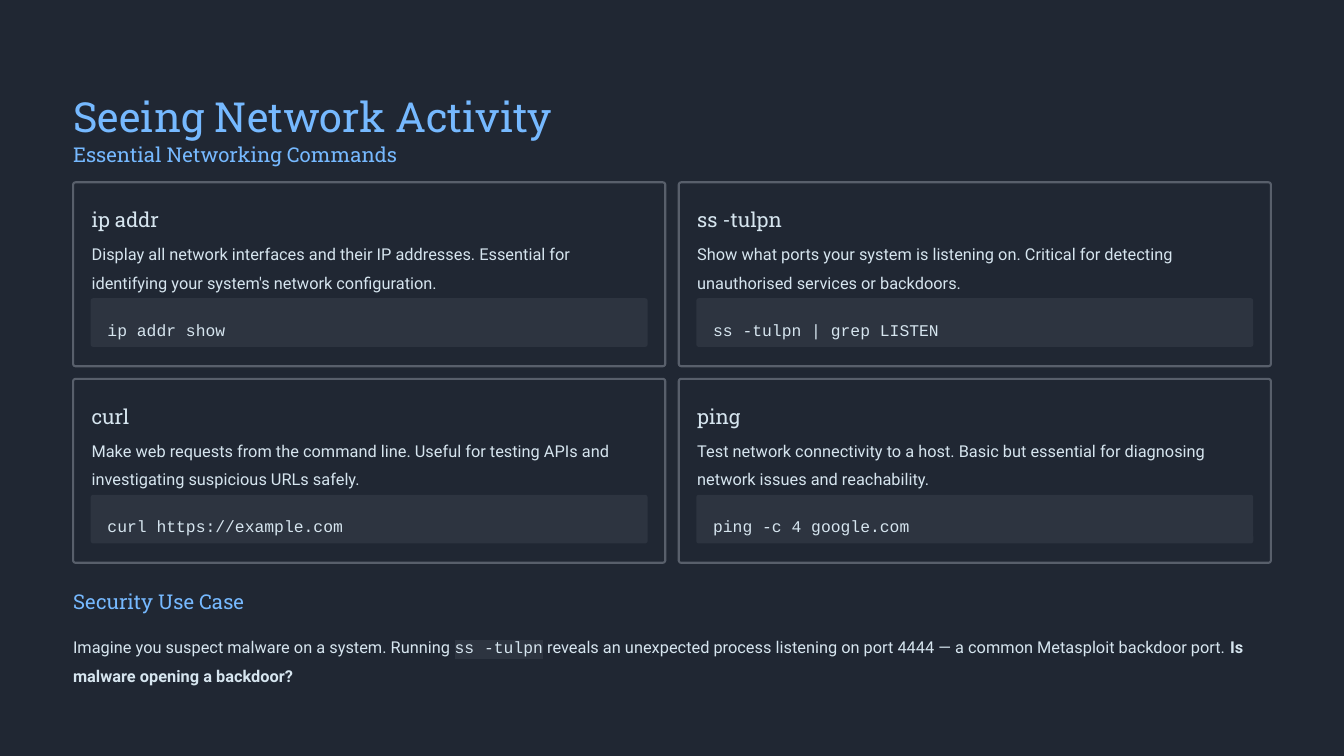
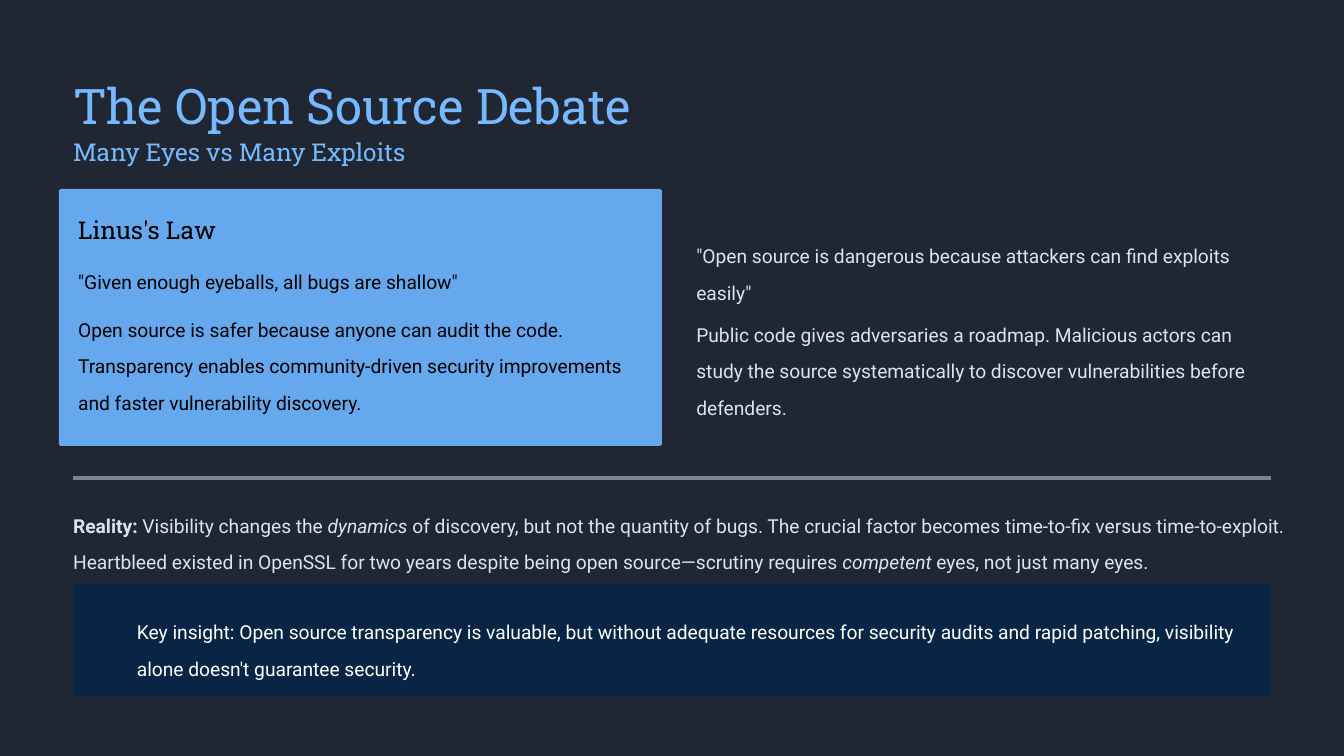
"""Build two dark slides on network commands and the open source debate."""
from dataclasses import dataclass

from lxml import etree
from pptx import Presentation
from pptx import util as u
from pptx.dml.color import RGBColor
from pptx.enum import shapes, text
from pptx.oxml.ns import qn

NIGHT = RGBColor(0x20, 0x27, 0x33)
PANEL = RGBColor(0x2D, 0x34, 0x40)
BORDER = RGBColor(0x58, 0x5F, 0x6B)
RULE = RGBColor(0x7B, 0x86, 0x91)
ACCENT = RGBColor(0x76, 0xB9, 0xFF)
PALE = RGBColor(0xD6, 0xE5, 0xEF)
SKY = RGBColor(0x66, 0xA8, 0xEE)
NAVY = RGBColor(0x08, 0x25, 0x45)
BLACK = RGBColor(0, 0, 0)
WHITE = RGBColor(0xFF, 0xFF, 0xFF)

COLUMNS, ROWS = 16, 9
MARGIN = 0.87
CONTENT = COLUMNS - 2 * MARGIN
RADIUS = 0.03


@dataclass(frozen=True)
class Style:
    font: str
    size: float
    spacing: float


TITLE = Style("Roboto Slab", 35.5, 1.25)
HEADING = Style("Roboto Slab", 17.5, 1.26)
BODY = Style("Roboto", 14, 1.46)
CODE = Style("Courier New", 14, 1.46)
BIG_TITLE = Style("Roboto Slab", 42, 1.26)
BIG_HEADING = Style("Roboto Slab", 21, 1.26)
BIG_BODY = Style("Roboto", 16.5, 1.58)


class Builder:
    def __init__(self):
        self.deck = Presentation()
        self.deck.slide_width = u.Inches(COLUMNS)
        self.deck.slide_height = u.Inches(ROWS)
        backdrop = self.deck.slide_master.background.fill
        backdrop.solid()
        backdrop.fore_color.rgb = NIGHT
        self.page = None

    def new_page(self):
        self.page = self.deck.slides.add_slide(self.deck.slide_layouts[6])

    def across(self, columns):
        return round(self.deck.slide_width * columns / COLUMNS)

    def down(self, rows):
        return round(self.deck.slide_height * rows / ROWS)

    def area(self, left, top, width, height):
        return self.across(left), self.down(top), self.across(width), self.down(height)

    def label(self, left, top, width, height, words, style, color=PALE):
        box = self.page.shapes.add_textbox(*self.area(left, top, width, height))
        frame = box.text_frame
        frame.word_wrap = True
        frame.margin_left = frame.margin_right = 0
        frame.margin_top = frame.margin_bottom = 0
        frame.vertical_anchor = text.MSO_ANCHOR.TOP
        para = frame.paragraphs[0]
        para.line_spacing = style.spacing
        pieces = [(words, "")] if isinstance(words, str) else words
        for wording, look in pieces:
            self.add_span(para, wording, look, style, color)

    def add_span(self, para, wording, look, style, color):
        span = para.add_run()
        span.text = wording
        span.font.size = u.Pt(style.size)
        span.font.bold = look == "bold"
        span.font.italic = look == "italic"
        span.font.color.rgb = color
        is_code = look == "code" or style is CODE
        if is_code:
            mark = etree.SubElement(span.font._element, qn("a:highlight"))
            etree.SubElement(mark, qn("a:srgbClr"), val=str(PANEL))
        span.font.name = CODE.font if is_code else style.font

    def panel(self, left, top, width, height, fill, border=None):
        box = self.page.shapes.add_shape(
            shapes.MSO_SHAPE.ROUNDED_RECTANGLE, *self.area(left, top, width, height))
        box.adjustments[0] = RADIUS / min(width, height)
        box.shadow.inherit = False
        box.fill.solid()
        box.fill.fore_color.rgb = fill
        if border is None:
            box.line.fill.background()
        else:
            box.line.color.rgb = border
            box.line.width = u.Pt(1.8)

    def rule(self, left, top, width):
        height = self.down(top)
        line = self.page.shapes.add_connector(
            shapes.MSO_CONNECTOR.STRAIGHT,
            self.across(left), height, self.across(left + width), height)
        line.line.color.rgb = RULE
        line.line.width = u.Pt(3)
        etree.SubElement(line._element.spPr, qn("a:effectLst"))

    def command_card(self, left, top, name, purpose, command):
        self.panel(left, top, 7.05, 2.19, NIGHT, BORDER)
        inner = left + 0.22
        self.label(inner, top + 0.22, 6.61, 0.31, name, HEADING)
        self.label(inner, top + 0.63, 6.61, 0.57, purpose, BODY)
        self.panel(inner - 0.01, top + 1.38, 6.63, 0.58, PANEL)
        self.label(inner + 0.19, top + 1.53, 6.23, 0.29, command, CODE)


COMMANDS = [
    ("ip addr",
     "Display all network interfaces and their IP addresses. Essential for "
     "identifying your system's network configuration.",
     "ip addr show"),
    ("ss -tulpn",
     "Show what ports your system is listening on. Critical for detecting "
     "unauthorised services or backdoors.",
     "ss -tulpn | grep LISTEN"),
    ("curl",
     "Make web requests from the command line. Useful for testing APIs and "
     "investigating suspicious URLs safely.",
     "curl https://example.com"),
    ("ping",
     "Test network connectivity to a host. Basic but essential for diagnosing "
     "network issues and reachability.",
     "ping -c 4 google.com"),
]


def network_page(builder):
    builder.new_page()
    builder.label(MARGIN, 0.94, CONTENT, 0.62, "Seeing Network Activity", TITLE, ACCENT)
    builder.label(MARGIN, 1.62, CONTENT, 0.31, "Essential Networking Commands", HEADING, ACCENT)
    for index, card in enumerate(COMMANDS):
        row, column = divmod(index, 2)
        builder.command_card(MARGIN + 7.21 * column, 2.17 + 2.34 * row, *card)
    builder.label(MARGIN, 6.94, CONTENT, 0.31, "Security Use Case", HEADING, ACCENT)
    builder.label(MARGIN, 7.48, CONTENT, 0.58, [
        ("Imagine you suspect malware on a system. Running ", ""),
        ("ss -tulpn", "code"),
        (" reveals an unexpected process listening on port 4444 — a common "
         "Metasploit backdoor port. ", ""),
        ("Is malware opening a backdoor?", "bold"),
    ], BODY)


def debate_page(builder):
    builder.new_page()
    builder.label(MARGIN, 0.72, CONTENT, 0.74, "The Open Source Debate", BIG_TITLE, ACCENT)
    builder.label(MARGIN, 1.54, CONTENT, 0.37, "Many Eyes vs Many Exploits", BIG_HEADING, ACCENT)

    builder.panel(0.7, 2.25, 7.18, 3.06, SKY)
    builder.label(0.93, 2.47, 6.71, 0.37, "Linus's Law", BIG_HEADING, BLACK)
    builder.label(0.93, 3.06, 6.71, 0.37,
                  '"Given enough eyeballs, all bugs are shallow"', BIG_BODY, BLACK)
    builder.label(0.93, 3.63, 6.71, 1.1,
                  "Open source is safer because anyone can audit the code. "
                  "Transparency enables community-driven security improvements "
                  "and faster vulnerability discovery.", BIG_BODY, BLACK)

    builder.label(8.29, 2.75, 6.84, 0.74,
                  '"Open source is dangerous because attackers can find exploits easily"',
                  BIG_BODY)
    builder.label(8.29, 3.69, 6.84, 1.1,
                  "Public code gives adversaries a roadmap. Malicious actors can "
                  "study the source systematically to discover vulnerabilities "
                  "before defenders.", BIG_BODY)

    builder.rule(MARGIN, 5.69, CONTENT)
    builder.label(MARGIN, 5.96, 14.62, 0.74, [
        ("Reality:", "bold"),
        (" Visibility changes the ", ""),
        ("dynamics", "italic"),
        (" of discovery, but not the quantity of bugs. The crucial factor becomes "
         "time-to-fix versus time-to-exploit. Heartbleed existed in OpenSSL for two "
         "years despite being open source—scrutiny requires ", ""),
        ("competent", "italic"),
        (" eyes, not just many eyes.", ""),
    ], BIG_BODY)
    builder.panel(MARGIN, 6.95, CONTENT, 1.34, NAVY)
    builder.label(1.63, 7.23, 13.26, 0.74,
                  "Key insight: Open source transparency is valuable, but without "
                  "adequate resources for security audits and rapid patching, "
                  "visibility alone doesn't guarantee security.", BIG_BODY, WHITE)


def main():
    builder = Builder()
    network_page(builder)
    debate_page(builder)
    builder.deck.save("out.pptx")


if __name__ == "__main__":
    main()
